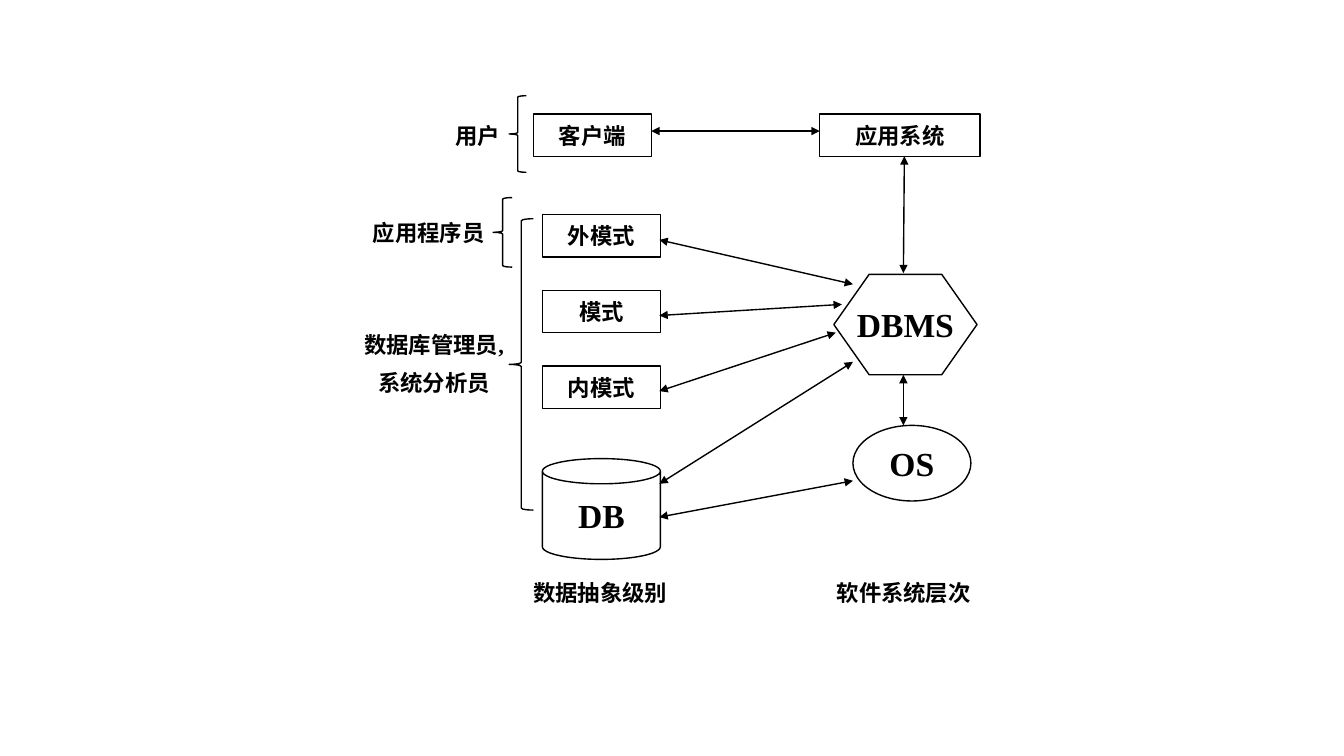
"""Draw the levels of a database system: users, data abstraction and software layers."""
from lxml import etree
from pptx import Presentation
from pptx import util as u
from pptx.dml.color import RGBColor
from pptx.enum import shapes, text
from pptx.oxml.ns import qn

COLORS = {"ink": "000000"}
INK = RGBColor.from_string(COLORS["ink"])
FONT = "Times New Roman"
SHAPE = shapes.MSO_SHAPE
LEVEL_LEFT, LEVEL_WIDTH, BOX_HEIGHT = 5.38, 1.17, 0.42
LEVEL_RIGHT = 6.54


def write(frame, lines, size, align):
    for index, line in enumerate(lines):
        paragraph = frame.paragraphs[0] if index == 0 else frame.add_paragraph()
        paragraph.alignment = align
        paragraph.space_before = u.Pt(size / 2 if index else 0)
        run = paragraph.add_run()
        run.text = line
        run.font.name = FONT
        run.font.size = u.Pt(size)
        run.font.bold = True
        run.font.color.rgb = INK


def outline(kind, left, top, width, height):
    figure = slide.shapes.add_shape(kind, *map(u.Inches, (left, top, width, height)))
    figure.shadow.inherit = False
    figure.fill.background()
    figure.line.color.rgb = INK
    figure.line.width = u.Pt(1)
    return figure


deck = Presentation()
deck.slide_width, deck.slide_height = u.Inches(13.33), u.Inches(7.5)
slide = deck.slides.add_slide(deck.slide_layouts[6])

LEFT, CENTER = text.PP_ALIGN.LEFT, text.PP_ALIGN.CENTER
labels = [
    (["用户"], 4.42, 1.16, 0.65, 0.37, LEFT, True),
    (["应用程序员"], 3.6, 2.13, 1.59, 0.37, LEFT, True),
    (["数据库管理员,", "系统分析员"], 3.25, 3.24, 2.11, 0.77, CENTER, True),
    (["数据抽象级别"], 5.19, 5.7, 1.55, 0.37, LEFT, False),
    (["软件系统层次"], 8.2, 5.7, 1.55, 0.37, LEFT, False),
]
for lines, left, top, width, height, align, wrap in labels:
    label = slide.shapes.add_textbox(*map(u.Inches, (left, top, width, height)))
    label.text_frame.word_wrap = wrap
    label.text_frame.auto_size = text.MSO_AUTO_SIZE.SHAPE_TO_FIT_TEXT
    write(label.text_frame, lines, 16, align)

nodes = [
    ("客户端", SHAPE.RECTANGLE, 5.29, 1.13, LEVEL_WIDTH, BOX_HEIGHT, 16),
    ("应用系统", SHAPE.RECTANGLE, 8.13, 1.13, 1.59, BOX_HEIGHT, 16),
    ("DB", SHAPE.CAN, LEVEL_LEFT, 4.55, LEVEL_WIDTH, 1, 24),
    ("DBMS", SHAPE.HEXAGON, 8.27, 2.72, 1.42, 1, 24),
    ("OS", SHAPE.OVAL, 8.46, 4.22, LEVEL_WIDTH, 0.75, 24),
]
for row, schema in enumerate(["外模式", "模式", "内模式"]):
    nodes.append((schema, SHAPE.RECTANGLE, LEVEL_LEFT, 2.13 + 0.75 * row,
                  LEVEL_WIDTH, BOX_HEIGHT, 16))
adjustments = {"DB": [0.25], "DBMS": [0.35, 1.15]}
for name, kind, left, top, width, height, size in nodes:
    node = outline(kind, left, top, width, height)
    for index, value in enumerate(adjustments.get(name, [])):
        node.adjustments[index] = value
    node.text_frame.word_wrap = False
    node.text_frame.vertical_anchor = text.MSO_ANCHOR.MIDDLE
    write(node.text_frame, [name], size, CENTER)

links = [
    (6.46, 1.3, 8.13, 1.3),
    (8.97, 1.55, 8.96, 2.71),
    (8.96, 3.72, 8.96, 4.22),
    (LEVEL_RIGHT, 2.38, 8.46, 2.82),
    (LEVEL_RIGHT, 3.13, 8.35, 3.02),
    (LEVEL_RIGHT, 3.88, 8.29, 3.3),
    (LEVEL_RIGHT, 4.8, 8.46, 3.59),
    (LEVEL_RIGHT, 5.13, 8.46, 4.77),
]
for ends in links:
    link = slide.shapes.add_connector(shapes.MSO_CONNECTOR.STRAIGHT, *map(u.Inches, ends))
    link.line.color.rgb = INK
    link.line.width = u.Pt(1)
    properties = link.line._get_or_add_ln()
    for end in ("a:headEnd", "a:tailEnd"):
        etree.SubElement(properties, qn(end), type="triangle")
    etree.SubElement(link._element.spPr, qn("a:effectLst"))

braces = [(5.05, 0.95, 0.17, 0.76), (5.05, 2.17, 0.24, 2.89), (4.89, 1.96, 0.19, 0.69)]
for place in braces:
    outline(SHAPE.LEFT_BRACE, *place)

deck.save("out.pptx")
